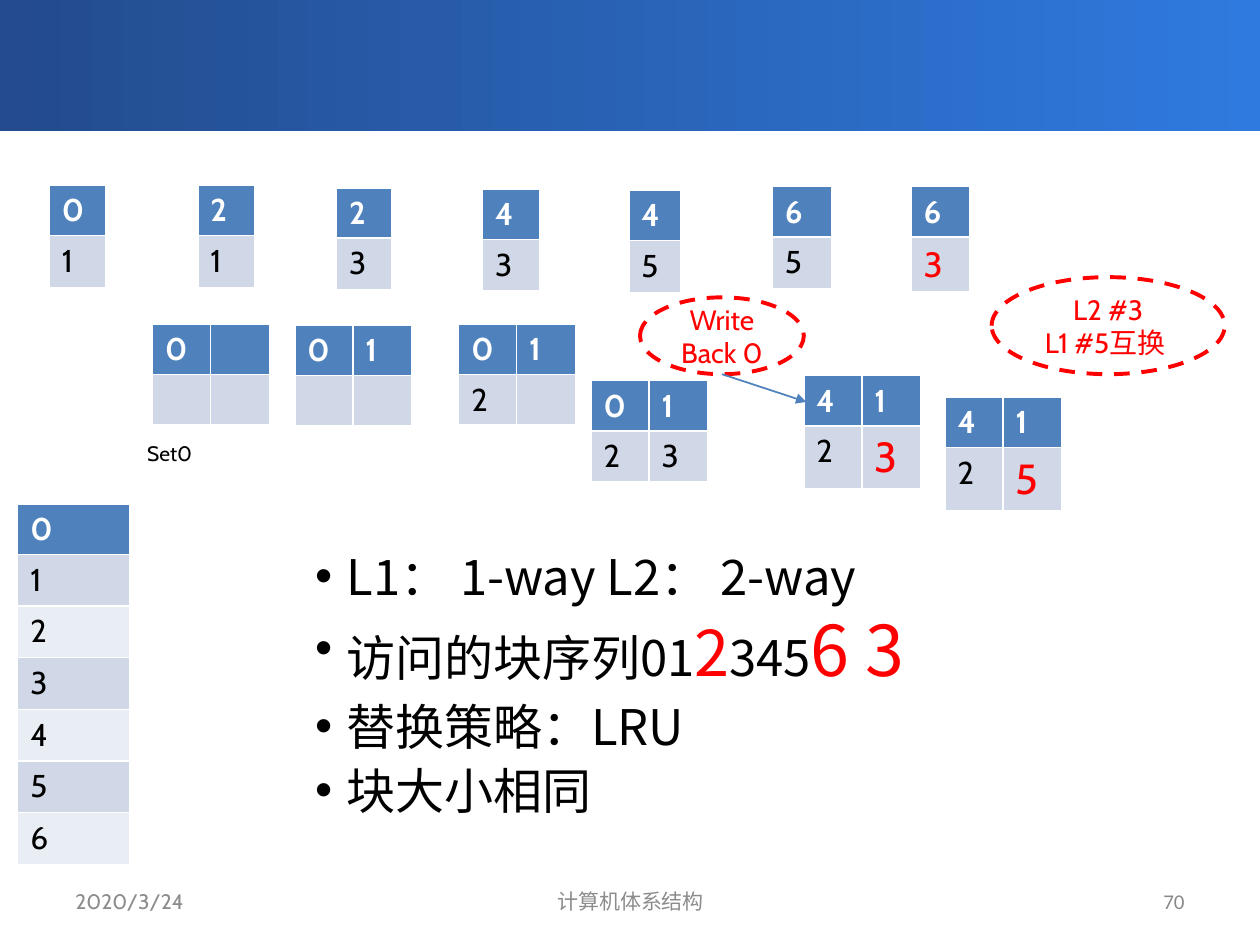
from lxml import etree
from pptx import Presentation
from pptx.dml.color import RGBColor
from pptx.enum.dml import MSO_LINE
from pptx.enum.shapes import MSO_CONNECTOR, MSO_SHAPE
from pptx.enum.text import MSO_ANCHOR, MSO_AUTO_SIZE, PP_ALIGN
from pptx.oxml.ns import qn
from pptx.util import Inches, Pt

WHITE = RGBColor(0xFF, 0xFF, 0xFF)
BLACK = RGBColor(0, 0, 0)
RED = RGBColor(0xFF, 0, 0)
BLUE = RGBColor(0x4F, 0x81, 0xBD)
BAND_DARK = RGBColor(0xD0, 0xD8, 0xE8)
BAND_LIGHT = RGBColor(0xE9, 0xED, 0xF4)
BANNER_START = RGBColor(0x23, 0x4B, 0x8D)
BANNER_END = RGBColor(0x2F, 0x7A, 0xDF)
GRAY = RGBColor(0x8C, 0x8C, 0x8C)
PAGE_GRAY = RGBColor(0x89, 0x89, 0x89)

LEFT, CENTER, RIGHT = PP_ALIGN.LEFT, PP_ALIGN.CENTER, PP_ALIGN.RIGHT
TOP, MIDDLE = MSO_ANCHOR.TOP, MSO_ANCHOR.MIDDLE
NO_FIT = MSO_AUTO_SIZE.NONE
RECTANGLE, ELLIPSE = MSO_SHAPE.RECTANGLE, MSO_SHAPE.OVAL
STRAIGHT = MSO_CONNECTOR.STRAIGHT
DASH = MSO_LINE.DASH


class SlideBuilder:
    font = "Cabin"
    body_font = "Noto Sans CJK SC"
    header_height = 0.4

    def __init__(self, deck):
        self.page = deck.slides.add_slide(deck.slide_layouts[1])
        self.shapes = self.page.shapes
        title = self.shapes.title
        title.element.getparent().remove(title.element)

    def style(self, font, size, color, name=None, bold=False):
        font.name = name or self.font
        font.size = Pt(size)
        font.bold = bold
        font.color.rgb = color

    def banner(self, left, top, width, height):
        box = self.shapes.add_shape(
            RECTANGLE, Inches(left), Inches(top), Inches(width), Inches(height))
        box.shadow.inherit = False
        box.line.fill.background()
        box.fill.gradient()
        box.fill.gradient_angle = 0
        for stop, color in zip(box.fill.gradient_stops, (BANNER_START, BANNER_END)):
            stop.color.rgb = color

    def label(self, text, left, top, width, height, align=LEFT, anchor=MIDDLE,
              color=GRAY, name=None):
        box = self.shapes.add_textbox(
            Inches(left), Inches(top), Inches(width), Inches(height))
        frame = box.text_frame
        frame.word_wrap = True
        frame.vertical_anchor = anchor
        para = frame.paragraphs[0]
        para.text = text
        para.alignment = align
        self.style(para.font, 12, color, name)

    def bullets(self, lines, left, top, width, height):
        box = self.page.placeholders[1]
        box.left, box.top = Inches(left), Inches(top)
        box.width, box.height = Inches(width), Inches(height)
        frame = box.text_frame
        frame.auto_size = NO_FIT
        frame.vertical_anchor = TOP
        for index, spans in enumerate(lines):
            para = frame.add_paragraph() if index else frame.paragraphs[0]
            properties = para._p.get_or_add_pPr()
            properties.set("marL", str(Inches(0.25)))
            properties.set("indent", str(-Inches(0.25)))
            para.line_spacing = 0.8
            para.space_before = Pt(10 if index else 0)
            etree.SubElement(properties, qn("a:buChar")).set("char", "•")
            self.style(para.font, 28, BLACK, self.body_font)
            for text, size, color in spans:
                span = para.add_run()
                span.text = text
                self.style(span.font, size, color, self.body_font)

    def cache(self, rows, left, top, widths, height=0.41, accent=None):
        heights = [self.header_height] + [height] * (len(rows) - 1)
        table = self.shapes.add_table(
            len(rows), len(widths), Inches(left), Inches(top),
            Inches(sum(widths)), Inches(sum(heights))).table
        for column, width in zip(table.columns, widths):
            column.width = Inches(width)
        for index, (row, values) in enumerate(zip(table.rows, rows)):
            row.height = Inches(heights[index])
            band = BAND_DARK if index % 2 else BAND_LIGHT
            for cell, value in zip(row.cells, values):
                cell.fill.solid()
                cell.fill.fore_color.rgb = band if index else BLUE
                para = cell.text_frame.paragraphs[0]
                para.text = value
                self.style(para.font, 18, BLACK if index else WHITE, bold=not index)
        if accent:
            last = table.cell(len(rows) - 1, len(widths) - 1)
            self.style(last.text_frame.paragraphs[0].font, accent, RED)

    def callout(self, lines, left, top, width, height):
        box = self.shapes.add_shape(
            ELLIPSE, Inches(left), Inches(top), Inches(width), Inches(height))
        box.shadow.inherit = False
        box.fill.background()
        box.line.color.rgb = RED
        box.line.width = Pt(2.25)
        box.line.dash_style = DASH
        frame = box.text_frame
        frame.word_wrap = True
        frame.vertical_anchor = MIDDLE
        for index, text in enumerate(lines):
            para = frame.add_paragraph() if index else frame.paragraphs[0]
            para.text = text
            para.alignment = CENTER
            self.style(para.font, 16, RED)

    def arrow(self, x1, y1, x2, y2):
        line = self.shapes.add_connector(
            STRAIGHT, Inches(x1), Inches(y1), Inches(x2), Inches(y2))
        line.line.color.rgb = BLUE
        line.line.width = Pt(1)
        etree.SubElement(line.line._get_or_add_ln(), qn("a:tailEnd")).set("type", "triangle")
        etree.SubElement(line._element.spPr, qn("a:effectLst"))


def main():
    deck = Presentation()
    deck.slide_width, deck.slide_height = Inches(10), Inches(7.5)
    slide = SlideBuilder(deck)

    slide.banner(0, -0.03, 10, 1.07)
    slide.label("2020/3/24", 0.5, 6.95, 2.33, 0.4)
    slide.label("计算机体系结构", 3.42, 6.95, 3.17, 0.4, CENTER)
    slide.label("70", 7.17, 6.95, 2.33, 0.4, RIGHT, color=PAGE_GRAY, name="Calibri")

    level_one = [
        ("01", 0.39, 1.47, 0.45, None),
        ("21", 1.57, 1.47, 0.45, None),
        ("23", 2.67, 1.49, 0.44, None),
        ("43", 3.83, 1.5, 0.45, None),
        ("45", 4.99, 1.51, 0.41, None),
        ("65", 6.13, 1.48, 0.47, None),
        ("63", 7.23, 1.48, 0.47, 20),
    ]
    for blocks, left, top, width, accent in level_one:
        slide.cache(blocks, left, top, [width], accent=accent)

    level_two = [
        (["0", ""], ["", ""], 1.21, 2.57, 0.4, None),
        ("01", ["", ""], 2.34, 2.58, 0.4, None),
        ("01", ["2", ""], 3.64, 2.57, 0.4, None),
        ("01", "23", 4.69, 3.02, 0.4, None),
        ("41", "23", 6.38, 2.98, 0.5, 24),
        ("41", "25", 7.5, 3.15, 0.5, 24),
    ]
    for first, second, left, top, height, accent in level_two:
        slide.cache([first, second], left, top, [0.46, 0.47], height, accent)

    slide.cache("0123456", 0.14, 4, [0.89])
    slide.label("Set0", 1.07, 3.45, 0.6, 0.3, anchor=TOP, color=BLACK)

    slide.callout(["Write", "Back 0"], 5.08, 2.36, 1.3, 0.61)
    slide.arrow(5.73, 2.97, 6.4, 3.19)
    slide.callout(["L2 #3", "L1 #5互换 "], 7.87, 2.2, 1.85, 0.77)

    slide.bullets([
        [("L1： 1-way L2： 2-way", 28, BLACK)],
        [("访问的块序列01", 28, BLACK), ("2", 36, RED),
         ("345", 28, BLACK), ("6 3", 40, RED)],
        [("替换策略：LRU", 28, BLACK)],
        [("块大小相同", 28, BLACK)],
    ], 2.4, 4.38, 6.91, 2.57)

    deck.save("out.pptx")


if __name__ == "__main__":
    main()
